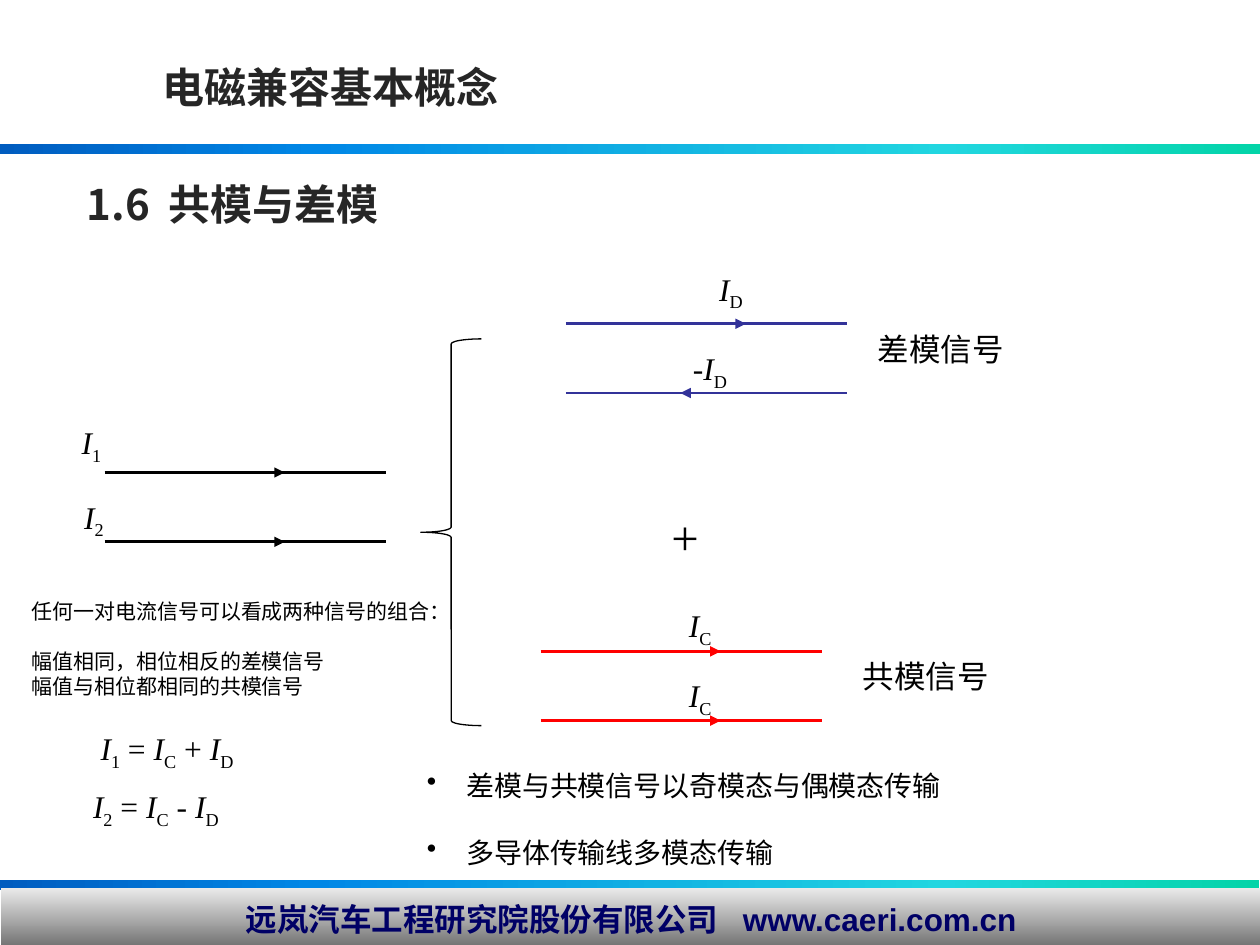
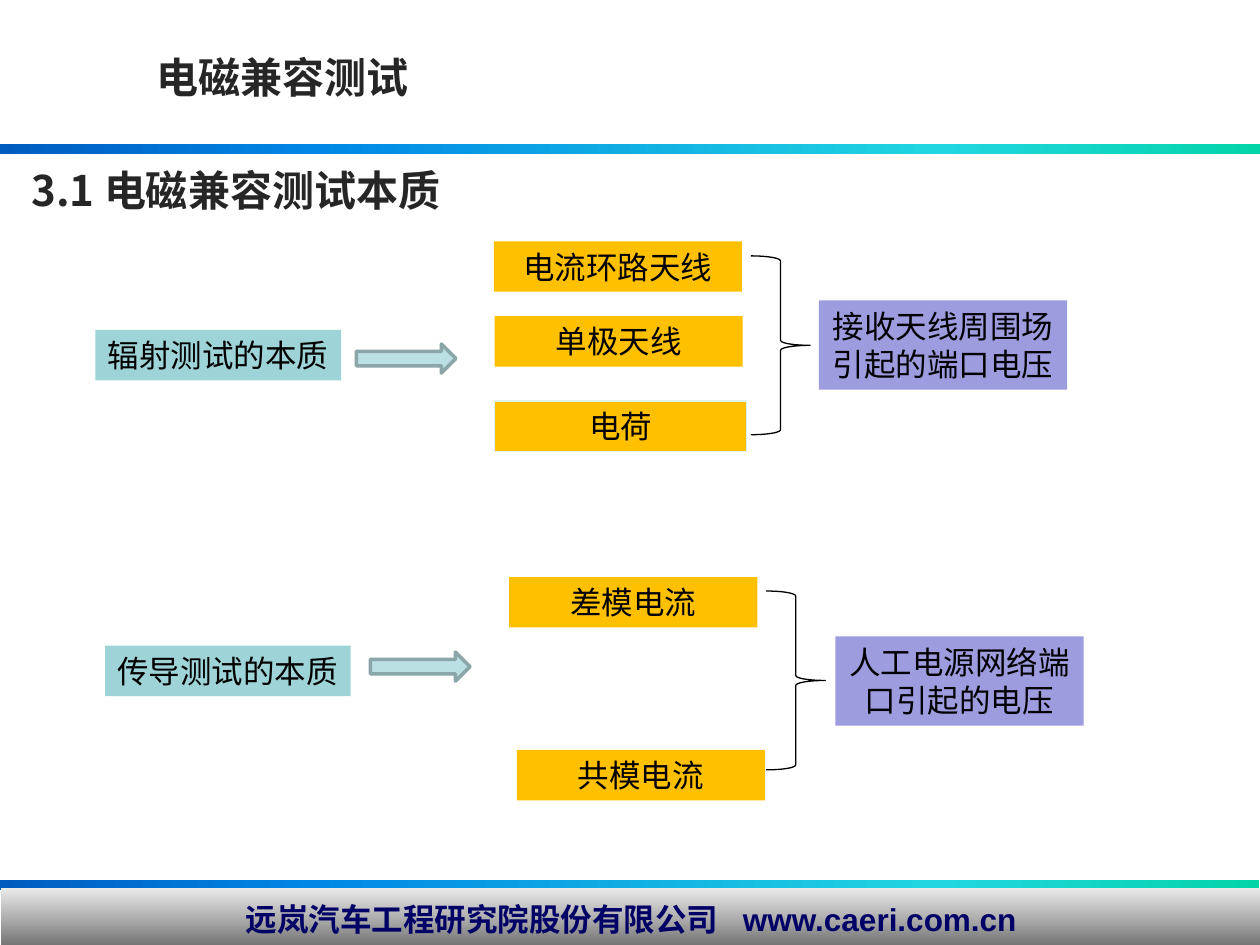
import pptx
import pptx.util
import pptx.dml.color
import pptx.enum.shapes
import pptx.enum.text
import pptx.oxml.ns
import lxml.etree

Pt = pptx.util.Pt
RGB = pptx.dml.color.RGBColor.from_string
Kind = pptx.enum.shapes.MSO_SHAPE
Align = pptx.enum.text.PP_ALIGN
Anchor = pptx.enum.text.MSO_ANCHOR
qn = pptx.oxml.ns.qn
Sub = lxml.etree.SubElement

HUES = {
    "ink": "000000", "title": "262626", "navy": "000066",
    "blue": "333399", "red": "FF0000", "teal": "9ED3D7",
    "gold": "FFC000", "lilac": "9C9CDF", "arrow": "BBE0E3",
    "edge": "8AA6A8", "pale": "E0F1F2",
}
BAND = [(0, "005CBF"), (25, "0087E6"), (75, "21D6E0"), (100, "03D4A8")]
GREY = [(0, "EAEAEA"), (100, "6C6C6C")]
SANS, SERIF, HAN = "Arial", "Times New Roman", "Noto Sans CJK SC"


def write(para, text, size=18, font=SANS, hue="ink", bold=False):
    # "*" italic, "_" subscript, ">" widened space
    for part in text.split("|"):
        mark = part[0] if part[0] in "*_>" else ""
        run = para.add_run()
        run.text = " " if mark == ">" else part[len(mark):]
        run.font.size = Pt(size)
        run.font.bold = bold
        run.font.italic = mark == "*"
        run.font.name = font
        run.font.color.rgb = RGB(HUES[hue])
        props = run._r.get_or_add_rPr()
        Sub(props, qn("a:ea")).set("typeface", HAN)
        if mark == "_":
            props.set("baseline", "-25000")
        if mark == ">":
            props.set("spc", part[1:])


def place(slide, area, kind=None, fill=None, line=None, width=0.75):
    spots = [Pt(n) for n in area]
    if kind is None:
        item = slide.shapes.add_textbox(*spots)
        item.text_frame.word_wrap = True
        return item
    item = slide.shapes.add_shape(kind, *spots)
    item.shadow.inherit = False
    if fill:
        item.fill.solid()
        item.fill.fore_color.rgb = RGB(HUES[fill])
    else:
        item.fill.background()
    if line:
        item.line.color.rgb = RGB(HUES[line])
        item.line.width = Pt(width)
    else:
        item.line.fill.background()
    return item


deck = pptx.Presentation()
deck.slide_width, deck.slide_height = Pt(720), Pt(540)
plan = deck.slide_layouts[5]

heads = [
    ("电磁兼容基本概念", 85.7, 31.7, "1.6|>540|共模与差模", 42.5, 98.6),
    ("电磁兼容测试", 82.1, 25.9, "3.1 电磁兼容测试本质", 10.8, 90.7),
]
for text, left, top, part, x, y in heads:
    slide = deck.slides.add_slide(plan)
    title = slide.shapes.title
    title.left, title.top = Pt(left), Pt(top)
    title.width, title.height = Pt(404.6), Pt(36.7)
    topic = place(slide, (x, y, 404.6, 36.7))
    for item, words in ((title, text), (topic, part)):
        frame = item.text_frame
        frame.auto_size = pptx.enum.text.MSO_AUTO_SIZE.NONE
        frame.vertical_anchor = Anchor.TOP
        frame.paragraphs[0].alignment = Align.LEFT
        write(frame.paragraphs[0], words, 24, HAN, "title", True)

modes, tests = deck.slides

for area, stops, turn in [
    ((-0.7, 502.6, 720, 5.8), BAND, 0),
    ((0, 82.1, 720, 5.8), BAND, 0),
    ((0.7, 507.6, 720, 35.3), GREY, 90),
]:
    band = place(modes, area, Kind.RECTANGLE)
    band.fill.gradient()
    grad = band.element.spPr.find(qn("a:gradFill"))
    for node in list(grad):
        grad.remove(node)
    ramp = Sub(grad, qn("a:gsLst"))
    for spot, tone in stops:
        stop = Sub(ramp, qn("a:gs"))
        stop.set("pos", str(spot * 1000))
        Sub(stop, qn("a:srgbClr")).set("val", tone)
    Sub(grad, qn("a:lin")).set("ang", str(turn * 60000))
    if stops is GREY:
        para = band.text_frame.paragraphs[0]
        para.alignment = Align.CENTER
        write(para, "远岚汽车工程研究院股份有限公司|>1000|www.caeri.com.cn",
              18, SANS, "navy", True)
    plan.shapes.element.append(band.element)

for left, y, hue, tail, tip in [
    (59.8, 270, "ink", 116.6, 162.7),
    (59.8, 309.6, "ink", 116.6, 162.7),
    (323.3, 185, "blue", 380.9, 426.2),
    (323.3, 224.6, "blue", 437.8, 388.8),
    (308.9, 372.2, "red", 365.8, 411.8),
    (308.9, 411.8, "red", 379.4, 411.8),
]:
    for start, end, width in ((left, left + 160.6, 1.5), (tail, tip, 0.75)):
        wire = modes.shapes.add_connector(
            pptx.enum.shapes.MSO_CONNECTOR.STRAIGHT,
            Pt(start), Pt(y), Pt(end), Pt(y))
        wire.line.color.rgb = RGB(HUES[hue])
        wire.line.width = Pt(width)
        props = wire.element.spPr
        Sub(props, qn("a:effectLst"))
        if width < 1:
            Sub(props.find(qn("a:ln")), qn("a:tailEnd")).set("type", "triangle")

place(modes, (240.5, 193.7, 34.6, 221), Kind.LEFT_BRACE, line="ink")

for text, x, y, width in [
    ("*I|_1", 39.6, 238.3, 26.6),
    ("*I|_2", 41, 280.8, 26.6),
    ("*I|_D", 403.9, 150.5, 29.5),
    ("*-I|_D", 388.8, 195.8, 35.3),
    ("*I|_C", 386.6, 342.7, 31.7),
    ("*I|_C", 386.6, 383, 31.7),
    ("*I|_1| = |*I|_C| + |*I|_D", 50.4, 413.3, 100),
    ("*I|_2| = |*I|_C| - |*I|_D", 46.1, 446.4, 95.8),
    ("差模信号", 494.6, 185, 87.1),
    ("共模信号", 486, 372.2, 87.1),
    ("_+", 376.6, 254.2, 32.4),
]:
    label = place(modes, (x, y, width, 28.8))
    label.text_frame.word_wrap = False
    size = 48 if text == "_+" else 18
    write(label.text_frame.paragraphs[0], text, size, SERIF)

note = place(modes, (10.8, 338.4, 257, 108.7)).text_frame
note.word_wrap = False
for i, text in enumerate([
    "任何一对电流信号可以看成两种信号的组合：",
    "幅值相同，相位相反的差模信号",
    "幅值与相位都相同的共模信号",
]):
    para = note.add_paragraph() if i else note.paragraphs[0]
    if i == 1:
        para.space_before = Pt(14.4)
    write(para, text, 12)

list_box = place(modes, (236.9, 435.6, 380.2, 65.5)).text_frame
for i, text in enumerate([
    "差模与共模信号以奇模态与偶模态传输", "多导体传输线多模态传输",
]):
    para = list_box.add_paragraph() if i else list_box.paragraphs[0]
    props = para._p.get_or_add_pPr()
    props.set("marL", str(Pt(22.5)))
    props.set("indent", str(-Pt(22.5)))
    Sub(props, qn("a:buChar")).set("char", "•")
    if i:
        para.space_before = Pt(19)
    write(para, text, 16, SERIF)

for text, x, y, width, height, fill, edge in [
    ("辐射测试的本质", 54.5, 188.6, 140.4, 28.8, "teal", None),
    ("电流环路天线", 282.2, 137.9, 141.8, 28.8, "gold", None),
    ("单极天线", 282.6, 180.7, 141.8, 28.8, "gold", None),
    ("电荷", 282.6, 229.2, 144, 28.8, "gold", "pale"),
    ("接收天线周围场引起的端口电压", 468, 171.6, 141.8, 51.1, "lilac", None),
    ("传导测试的本质", 60, 369, 140.4, 28.8, "teal", None),
    ("差模电流", 291, 329.8, 141.8, 28.8, "gold", None),
    ("共模电流", 295.4, 428.6, 141.8, 28.8, "gold", None),
    ("人工电源网络端口引起的电压", 477.4, 363.6, 141.8, 51.1, "lilac", None),
]:
    card = place(tests, (x, y, width, height), Kind.RECTANGLE, fill, edge)
    para = card.text_frame.paragraphs[0]
    para.alignment = Align.LEFT if fill == "teal" else Align.CENTER
    write(para, text)

for x, y, side, top in [
    (203.6, 196.6, 429.1, 146.2), (211.7, 372.6, 437.8, 337.7),
]:
    place(tests, (x, y, 56.9, 16.6), Kind.RIGHT_ARROW, "arrow", "edge", 2)
    brace = place(tests, (side, top, 33.8, 102.2), Kind.LEFT_BRACE, line="ink")
    brace.rotation = 180

deck.save("out.pptx")
